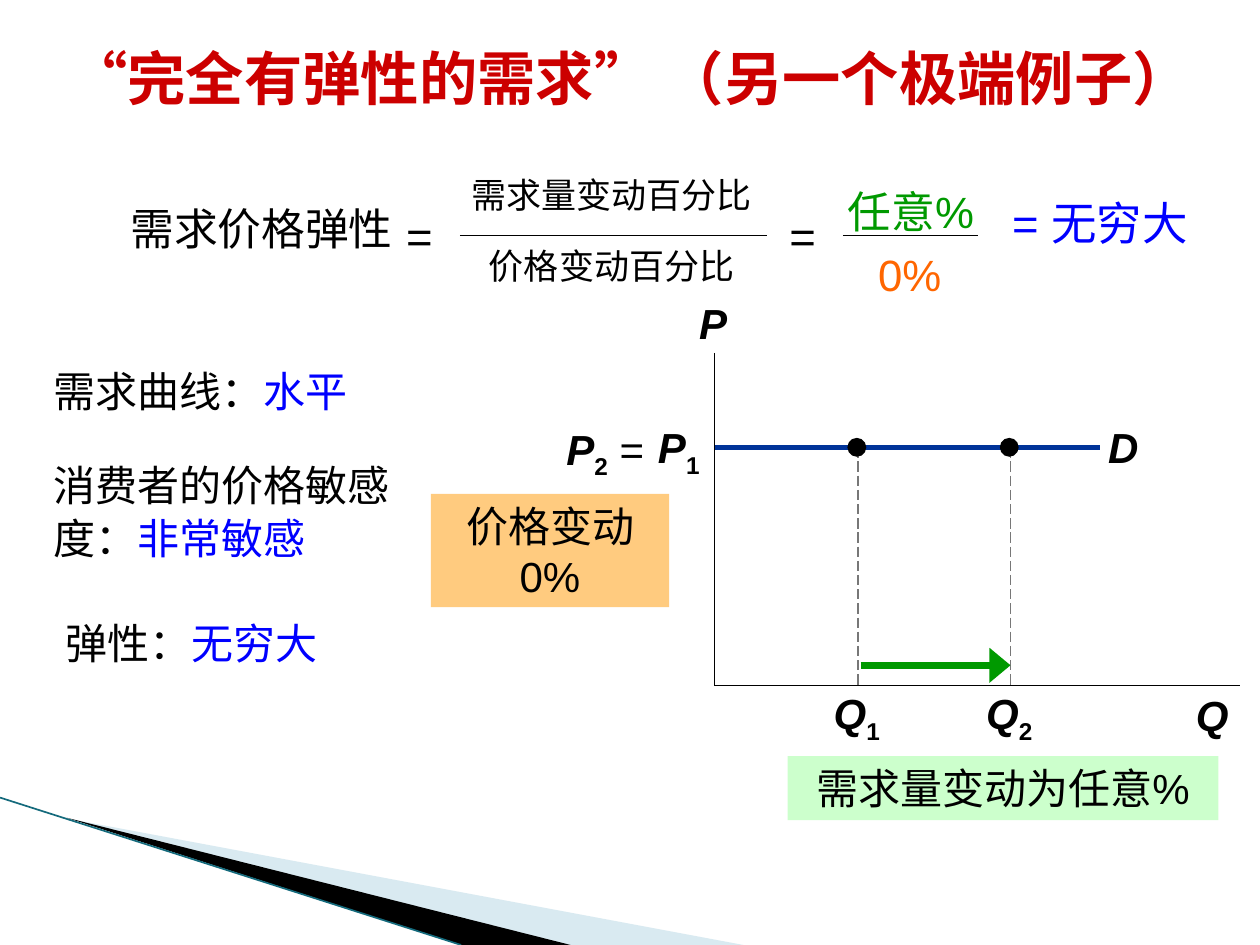
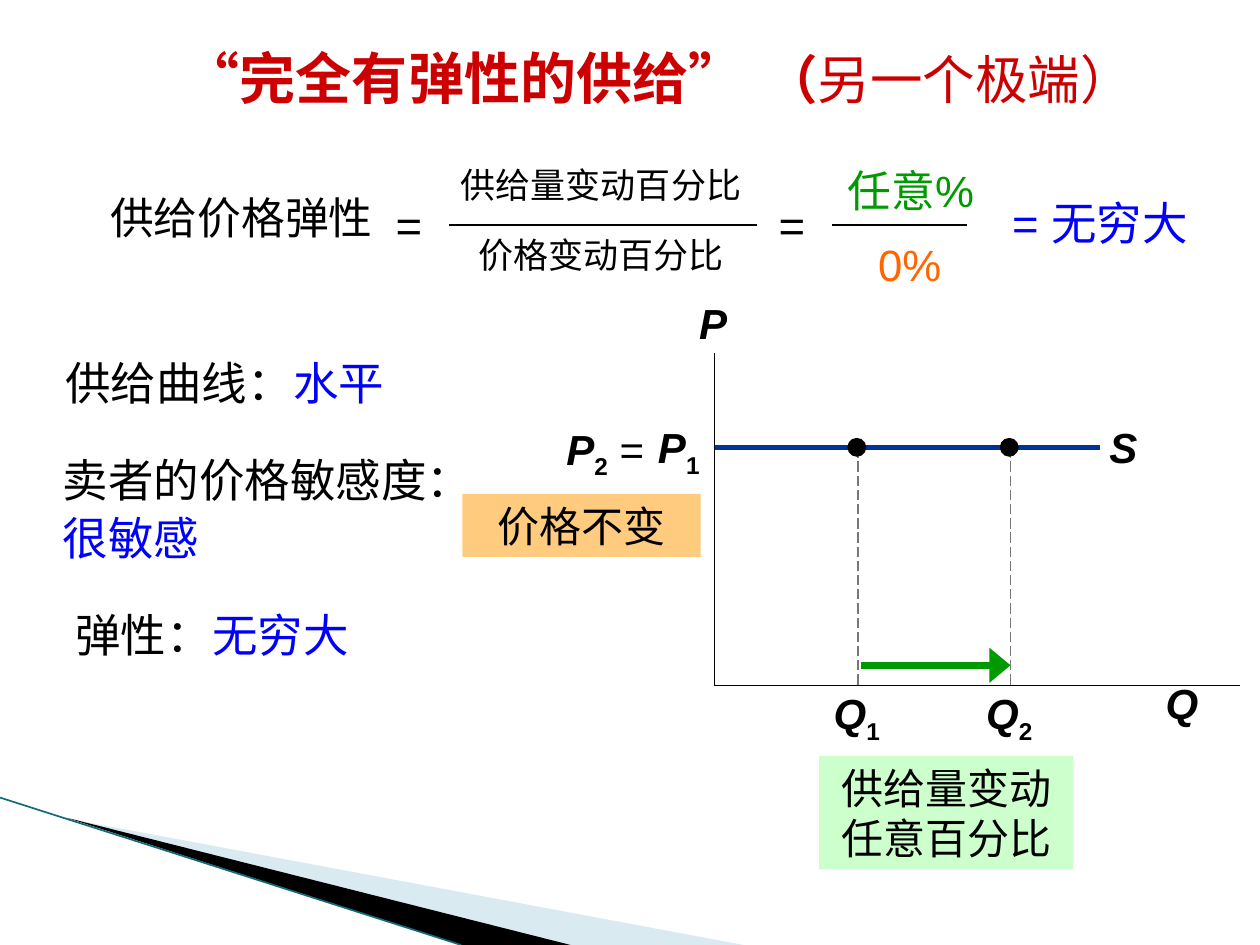
from dataclasses import dataclass
from typing import NamedTuple, Optional

from lxml.etree import SubElement
from pptx import Presentation
from pptx.dml.color import RGBColor
from pptx.enum.dml import MSO_LINE
from pptx.enum.lang import MSO_LANGUAGE_ID
from pptx.enum.shapes import MSO_CONNECTOR, MSO_SHAPE
from pptx.enum.text import MSO_ANCHOR, MSO_AUTO_SIZE, PP_ALIGN
from pptx.oxml.ns import qn
from pptx.util import Inches, Pt

COLORS = {
    "black": "000000", "title": "CC0000", "curve": "003399", "guide": "777777",
    "quantity": "009900", "price": "FF6600", "answer": "0000FF",
    "price_band": "FF9900", "quantity_band": "CCFFCC",
    "swoosh": "A0CBDC", "swoosh_edge": "146A7C",
}
BODY_FONT, TITLE_FONT = "Arial", "DejaVu Sans Mono"
COLUMNS, ROWS = 100, 75
SLIDE_WIDTH, SLIDE_HEIGHT = Inches(10), Inches(7.5)
AXIS_X, AXIS_Y, PRICE_Y = 56.7, 54.4, 35.5
QUANTITY_X = (68.1, 80.2)
DOT = 1.5


class Region(NamedTuple):
    left: float
    top: float
    width: float
    height: float


class Span(NamedTuple):
    text: str
    color: Optional[str] = None
    size: Optional[float] = None
    bold: Optional[bool] = None
    italic: Optional[bool] = None
    subscript: bool = False
    tracking: float = 0


class Fact(NamedTuple):
    region: Region
    label: str
    answer: str


class Note(NamedTuple):
    region: Region
    text: str


@dataclass
class Case:
    title: list[Span]
    title_size: float
    title_width: float
    title_align: PP_ALIGN
    subject: str
    subject_left: float
    shift: float
    numerator_top: float
    curve: str
    quantity_axis_label: Region
    price_note: Note
    quantity_note: Note
    fact_size: float
    facts: list[Fact]


CASES = [
    Case(
        title=[Span("“完全有弹性的需求” （另一个极端例子）")],
        title_size=33.3, title_width=92.7, title_align=PP_ALIGN.LEFT,
        subject="需求", subject_left=8.3, shift=0, numerator_top=14.2,
        curve="D", quantity_axis_label=Region(92.4, 54.2, 7.6, 5),
        price_note=Note(Region(34.2, 39.2, 18.9, 9), "价格变动 0%"),
        quantity_note=Note(Region(62.5, 60, 34.2, 5.1), "需求量变动为任意%"),
        fact_size=24,
        facts=[
            Fact(Region(3.3, 28.3, 27.5, 6.6), "需求曲线：", "水平"),
            Fact(Region(3.3, 35.8, 30.8, 12.1), "消费者的价格敏感度：", "非常敏感"),
            Fact(Region(4.2, 48.3, 24.6, 5.9), "弹性：", "无穷大"),
        ],
    ),
    Case(
        title=[
            Span("“完全有弹性的供给”"),
            Span(" ", size=30, tracking=5),
            Span("（", size=30),
            Span("另一个极端）", size=30, bold=False),
        ],
        title_size=32, title_width=95.5, title_align=PP_ALIGN.CENTER,
        subject="供给", subject_left=6.7, shift=-0.85, numerator_top=12.5,
        curve="S", quantity_axis_label=Region(90, 53.3, 7.6, 5),
        price_note=Note(Region(36.7, 39.2, 18.9, 5), "价格不变"),
        quantity_note=Note(Region(65, 60, 20.2, 9), "供给量变动任意百分比"),
        fact_size=26,
        facts=[
            Fact(Region(4.2, 27.5, 31.8, 6.4), "供给曲线：", "水平"),
            Fact(Region(4, 35.2, 37.1, 10.6), "卖者的价格敏感度：", "很敏感"),
            Fact(Region(5, 47.5, 25, 5.9), "弹性：", "无穷大"),
        ],
    ),
]


def across(columns: float) -> int:
    return round(SLIDE_WIDTH * columns / COLUMNS)


def down(rows: float) -> int:
    return round(SLIDE_HEIGHT * rows / ROWS)


def place(region: Region) -> tuple[int, int, int, int]:
    return (across(region.left), down(region.top),
            across(region.width), down(region.height))


def rgb(color: str) -> RGBColor:
    return RGBColor.from_string(COLORS[color])


def paint(shape, color: str, opacity: int = 100) -> None:
    shape.shadow.inherit = False
    shape.line.fill.background()
    shape.fill.solid()
    shape.fill.fore_color.rgb = rgb(color)
    if opacity < 100:
        fill = shape._element.spPr.find(qn("a:solidFill"))
        SubElement(fill[0], qn("a:alpha"), val=str(opacity * 1000))


def write_text(box, *spans: Span | str, size: float = 24, color: str = "black",
               font: str = BODY_FONT, bold: bool = False, italic: bool = False,
               align: PP_ALIGN = PP_ALIGN.CENTER, leading: float = 1.0,
               anchor: MSO_ANCHOR = MSO_ANCHOR.TOP, grow: bool = True) -> None:
    """Fill a box with one paragraph; a span overrides the shared format."""
    frame = box.text_frame
    frame.word_wrap = True
    frame.auto_size = MSO_AUTO_SIZE.SHAPE_TO_FIT_TEXT if grow else MSO_AUTO_SIZE.NONE
    frame.vertical_anchor = anchor
    para = frame.paragraphs[0]
    para.alignment, para.line_spacing = align, leading
    for item in spans:
        span = Span(item) if isinstance(item, str) else item
        run = para.add_run()
        run.text = span.text
        run.font.name = font
        run.font.size = Pt(span.size or size)
        run.font.bold = bold if span.bold is None else span.bold
        run.font.italic = italic if span.italic is None else span.italic
        run.font.color.rgb = rgb(span.color or color)
        run.font.language_id = MSO_LANGUAGE_ID.SIMPLIFIED_CHINESE
        properties = run._r.get_or_add_rPr()
        if span.subscript:
            properties.set("baseline", "-25000")
        if span.tracking:
            properties.set("spc", str(round(span.tracking * 100)))


def add_text(page, region: Region, *spans: Span | str, **text_format) -> None:
    write_text(page.shapes.add_textbox(*place(region)), *spans, **text_format)


def add_symbol(page, region: Region, *spans: Span | str, **text_format) -> None:
    add_text(page, region, *spans, bold=True, italic=True, **text_format)


def add_note(page, note: Note, color: str, opacity: int = 100) -> None:
    box = page.shapes.add_shape(MSO_SHAPE.RECTANGLE, *place(note.region))
    paint(box, color, opacity)
    write_text(box, note.text)


def add_line(page, start: tuple[float, float], end: tuple[float, float],
             color: str = "black", width: float = 1,
             dashed: bool = False, arrow: bool = False) -> None:
    line = page.shapes.add_connector(
        MSO_CONNECTOR.STRAIGHT, across(start[0]), down(start[1]),
        across(end[0]), down(end[1]))
    line.line.color.rgb = rgb(color)
    line.line.width = Pt(width)
    if dashed:
        line.line.dash_style = MSO_LINE.LONG_DASH
    properties = line._element.spPr
    if arrow:
        SubElement(properties.find(qn("a:ln")), qn("a:tailEnd"),
                   type="triangle", w="lg", len="med")
    SubElement(properties, qn("a:effectLst"))


def add_wedge(page, points: list[tuple[float, float]], color: str,
              opacity: int = 100) -> None:
    corners = [(across(x), down(y)) for x, y in points]
    builder = page.shapes.build_freeform(*corners[0])
    builder.add_line_segments(corners[1:], close=True)
    paint(builder.convert_to_shape(), color, opacity)


def draw_swoosh(page) -> None:
    add_wedge(page, [(5.5, 65), (59, ROWS), (45.2, ROWS)], "swoosh", 40)
    add_wedge(page, [(5.3, 64.9), (45.3, ROWS), (36.6, ROWS)], "black")
    add_line(page, (0, 63.3), (36.6, ROWS), "swoosh_edge", 0.95)


def draw_title(page, case: Case) -> None:
    title = page.shapes.title
    title.left, title.top, title.width, title.height = place(
        Region(4.5, 2.7, case.title_width, 6.8))
    write_text(title, *case.title, size=case.title_size, color="title",
               font=TITLE_FONT, bold=True, align=case.title_align,
               anchor=MSO_ANCHOR.MIDDLE, grow=False)


def draw_formula(page, case: Case) -> None:
    shift = case.shift
    bar_y = 18.7 + shift
    add_text(page, Region(case.subject_left, 15.8 + shift, 24.9, 5),
             f"{case.subject}价格弹性", size=25, leading=0.95)
    for left in (30.8, 61.2):
        add_text(page, Region(left + shift, 16 + shift, 5, 5.3), "=", size=26)
    for top, quantity in ((13.3, f"{case.subject}量"), (18.9, "价格")):
        add_text(page, Region(35.5 + shift, top + shift, 26.1, 4),
                 f"{quantity}变动百分比", size=20)
    for left, right in ((36.5, 60.9), (66.9, 77.6)):
        add_line(page, (left + shift, bar_y), (right + shift, bar_y))
    add_text(page, Region(65.6, case.numerator_top, 13.4, 5.2), "任意%",
             size=25, color="quantity")
    add_text(page, Region(65.8, 19.2 + shift, 12.8, 5.2), "0%", size=25, color="price")
    add_text(page, Region(79.2, 15, 16.2, 5.3), "= 无穷大", size=26, color="answer")


def draw_chart(page, case: Case) -> None:
    add_line(page, (AXIS_X, PRICE_Y), (87.3, PRICE_Y), "curve", 3)
    add_line(page, (AXIS_X, 28), (AXIS_X, AXIS_Y))
    add_line(page, (AXIS_X, AXIS_Y), (98.4, AXIS_Y))
    add_symbol(page, Region(85.9, 33, 6.5, 5), case.curve)
    add_symbol(page, Region(52.8, 23.1, 7.6, 5), "P")
    add_symbol(page, case.quantity_axis_label, "Q")

    def index(number: int) -> Span:
        return Span(str(number), italic=False, subscript=True)

    add_symbol(page, Region(49.4, 33, 7.1, 5), "P", index(1), align=PP_ALIGN.RIGHT)
    add_symbol(page, Region(43.2, 33.1, 8.9, 5), "P", index(2),
               Span(" =", bold=False, italic=False), align=PP_ALIGN.RIGHT)
    for number, x in enumerate(QUANTITY_X, start=1):
        add_symbol(page, Region(x - 3.3, 54.1, 6.4, 5), "Q", index(number))
        add_line(page, (x, PRICE_Y), (x, AXIS_Y), "guide", 0.75, dashed=True)
        dot = page.shapes.add_shape(MSO_SHAPE.OVAL, *place(
            Region(x - DOT / 2 - 0.1, PRICE_Y - DOT / 2, DOT, DOT)))
        paint(dot, "black")
    add_line(page, (QUANTITY_X[0] + 0.2, 52.8), (QUANTITY_X[1], 52.8),
             "quantity", 4, arrow=True)


def draw_facts(page, case: Case) -> None:
    for fact in case.facts:
        add_text(page, fact.region, fact.label, Span(fact.answer, "answer"),
                 size=case.fact_size, align=PP_ALIGN.LEFT, leading=1.05, grow=False)


def main() -> None:
    deck = Presentation()
    deck.slide_width, deck.slide_height = SLIDE_WIDTH, SLIDE_HEIGHT
    title_only = deck.slide_layouts.get_by_name("Title Only")
    for case in CASES:
        page = deck.slides.add_slide(title_only)
        draw_swoosh(page)
        draw_title(page, case)
        draw_chart(page, case)
        add_note(page, case.price_note, "price_band", 50)
        add_note(page, case.quantity_note, "quantity_band")
        draw_formula(page, case)
        draw_facts(page, case)
    deck.save("out.pptx")


if __name__ == "__main__":
    main()
